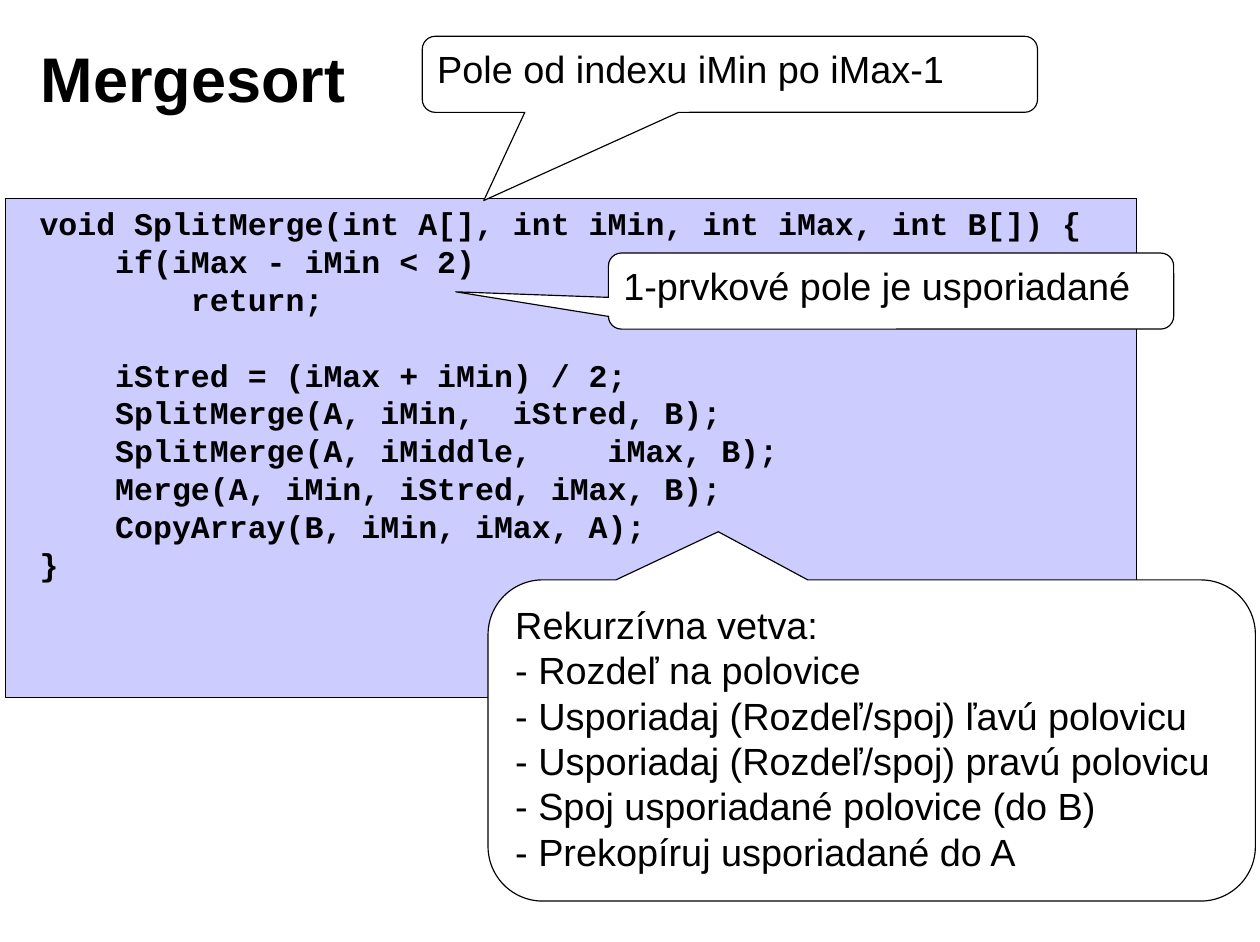
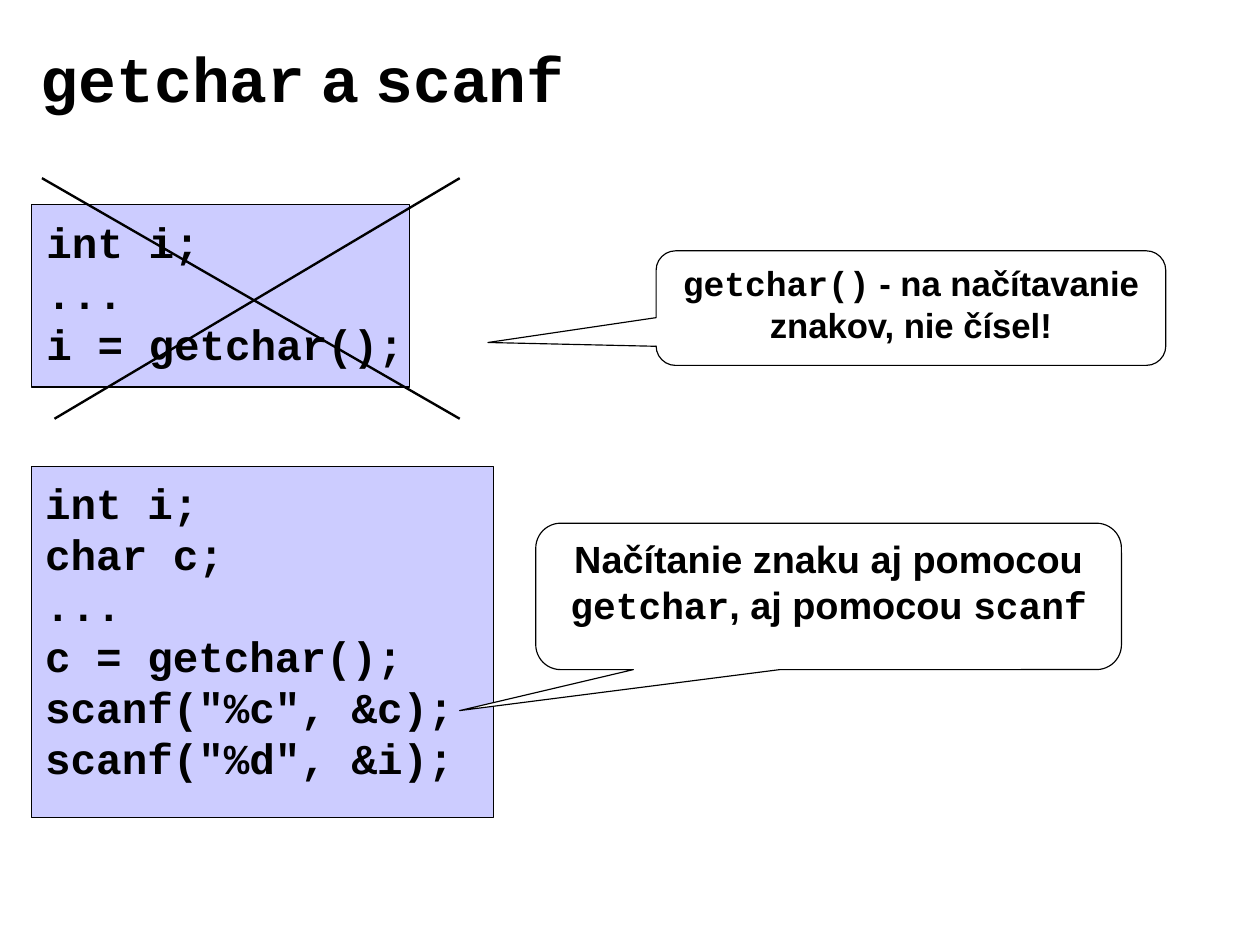
from lxml import etree
from pptx import Presentation
from pptx.dml.color import RGBColor
from pptx.enum.shapes import MSO_CONNECTOR, MSO_SHAPE
from pptx.enum.text import MSO_ANCHOR, PP_ALIGN
from pptx.oxml.ns import qn
from pptx.util import Inches, Pt

RECTANGLE = MSO_SHAPE.RECTANGLE
CALLOUT = MSO_SHAPE.ROUNDED_RECTANGULAR_CALLOUT
STRAIGHT = MSO_CONNECTOR.STRAIGHT
TOP, MIDDLE = MSO_ANCHOR.TOP, MSO_ANCHOR.MIDDLE
LEFT, CENTER = PP_ALIGN.LEFT, PP_ALIGN.CENTER

BLACK, WHITE, LAVENDER = "000000", "FFFFFF", "CCCCFF"
PROSE_FONT, CODE_FONT = "Arial", "Courier New"
LINE_HEIGHT = 1.2


def write(shape, lines, size, bold=True, align=LEFT, anchor=TOP, wrap=True, inset=(0.1, 0.05)):
    frame = shape.text_frame
    across, down = (Inches(length) for length in inset)
    frame_format = {
        "word_wrap": wrap, "vertical_anchor": anchor,
        "margin_left": across, "margin_right": across,
        "margin_top": down, "margin_bottom": down,
    }
    for name, value in frame_format.items():
        setattr(frame, name, value)
    for number, line in enumerate(lines):
        paragraph = frame.add_paragraph() if number else frame.paragraphs[0]
        paragraph.alignment = align
        paragraph.line_spacing = Pt(size * LINE_HEIGHT)
        for position, part in enumerate(line.split("`")):
            if not part:
                continue
            run = paragraph.add_run()
            run.text = part
            font_format = {
                "name": CODE_FONT if position % 2 else PROSE_FONT,
                "size": Pt(size), "bold": bold,
            }
            for name, value in font_format.items():
                setattr(run.font, name, value)
            run.font.color.rgb = RGBColor.from_string(BLACK)


def outlined(slide, kind, place, fill):
    shape = slide.shapes.add_shape(kind, *(Inches(length) for length in place))
    shape.shadow.inherit = False
    shape.fill.solid()
    shape.fill.fore_color.rgb = RGBColor.from_string(fill)
    shape.line.color.rgb = RGBColor.from_string(BLACK)
    shape.line.width = Pt(0.75)
    return shape


split_merge = """void SplitMerge(int A[], int iMin, int iMax, int B[]) {
    if(iMax - iMin < 2)
        return;

    iStred = (iMax + iMin) / 2;
    SplitMerge(A, iMin,  iStred, B);
    SplitMerge(A, iMiddle,    iMax, B);
    Merge(A, iMin, iStred, iMax, B);
    CopyArray(B, iMin, iMax, A);
}"""

wrong_reading = """int i;
...
i = getchar();"""

right_reading = """int i;
char c;
...
c = getchar();
scanf("%c", &c);
scanf("%d", &i);"""

recursive_branch = [
    "Rekurzívna vetva:",
    "- Rozdeľ na polovice",
    "- Usporiadaj (Rozdeľ/spoj) ľavú polovicu",
    "- Usporiadaj (Rozdeľ/spoj) pravú polovicu",
    "- Spoj usporiadané polovice (do B)",
    "- Prekopíruj usporiadané do A",
]

plain_note = {"size": 24, "bold": False}

lessons = [
    {
        "title": "Mergesort",
        "listings": [
            ((0.05, 1.75, 9.96, 4.4), (0.25, 1.75, 9.6, 3.77), split_merge, 20, (0.1, 0.05)),
        ],
        "strikes": [],
        "notes": [
            ((3.72, 0.32, 5.42, 0.67), (-0.4, 1.66), ["Pole od indexu iMin po iMax-1"], plain_note),
            ((5.36, 2.23, 4.98, 0.67), (-0.77, 0.01), ["1-prvkové pole je usporiadané"], plain_note),
            ((4.3, 5.11, 6.76, 2.83), (-0.2, -0.65), recursive_branch, plain_note),
        ],
    },
    {
        "title": "`getchar` a `scanf`",
        "listings": [
            ((0.28, 1.8, 3.33, 1.61), (0.3, 1.84, 3.4, 1.46), wrong_reading, 27, (0.11, 0.06)),
            ((0.28, 4.11, 4.07, 3.09), (0.3, 4.15, 3.9, 2.81), right_reading, 27, (0.1, 0.05)),
        ],
        "strikes": [(0.37, 1.57, 4.05, 3.69), (0.48, 3.69, 4.05, 1.57)],
        "notes": [
            ((5.78, 2.21, 4.49, 1.01), (-0.83, 0.3),
             ["`getchar()` - na načítavanie znakov, nie čísel!"],
             {"size": 22, "align": CENTER}),
            ((4.72, 4.61, 5.16, 1.29), (-0.63, 0.78),
             ["Načítanie znaku aj pomocou `getchar`, aj pomocou `scanf`"],
             {"size": 24, "align": CENTER}),
        ],
    },
]

deck = Presentation()
deck.slide_width, deck.slide_height = Inches(11.1), Inches(8.3)
blank = deck.slide_layouts[6]

for lesson in lessons:
    slide = deck.slides.add_slide(blank)
    title = slide.shapes.add_textbox(Inches(0.25), Inches(0.17), Inches(8.92), Inches(1.02))
    write(title, [lesson["title"]], 40, anchor=MIDDLE, inset=(0.11, 0.06))

    for panel_place, code_place, source, size, inset in lesson["listings"]:
        outlined(slide, RECTANGLE, panel_place, LAVENDER)
        code = slide.shapes.add_textbox(*(Inches(length) for length in code_place))
        write(code, [f"`{line}`" for line in source.splitlines()], size, wrap=False, inset=inset)

    for ends in lesson["strikes"]:
        strike = slide.shapes.add_connector(STRAIGHT, *(Inches(length) for length in ends))
        strike.line.color.rgb = RGBColor.from_string(BLACK)
        strike.line.width = Pt(1.5)
        etree.SubElement(strike._element.spPr, qn("a:effectLst"))

    for place, tip, lines, text_format in lesson["notes"]:
        note = outlined(slide, CALLOUT, place, WHITE)
        for number, value in enumerate((*tip, 0.17)):
            note.adjustments[number] = value
        write(note, lines, **text_format)

deck.save("out.pptx")
